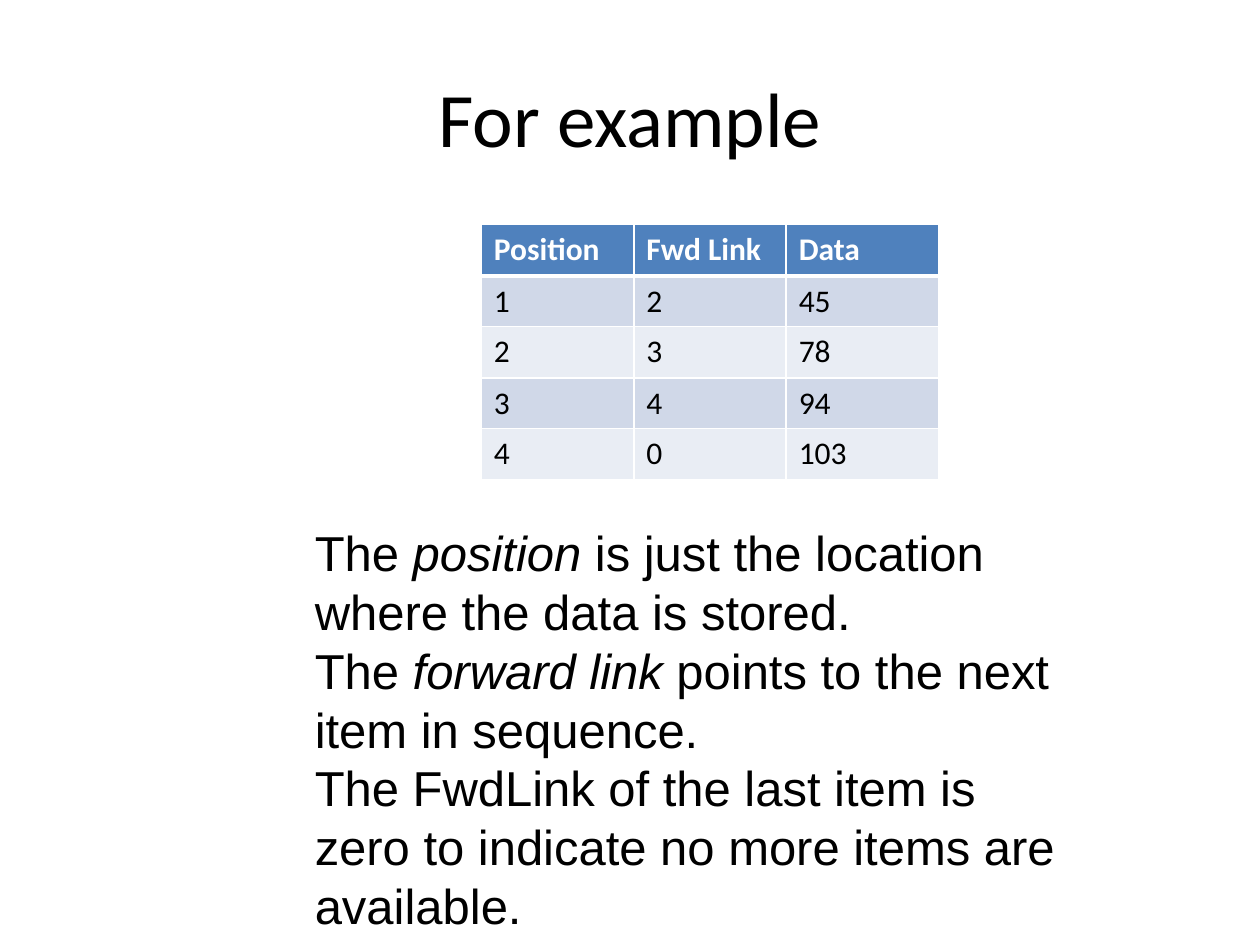
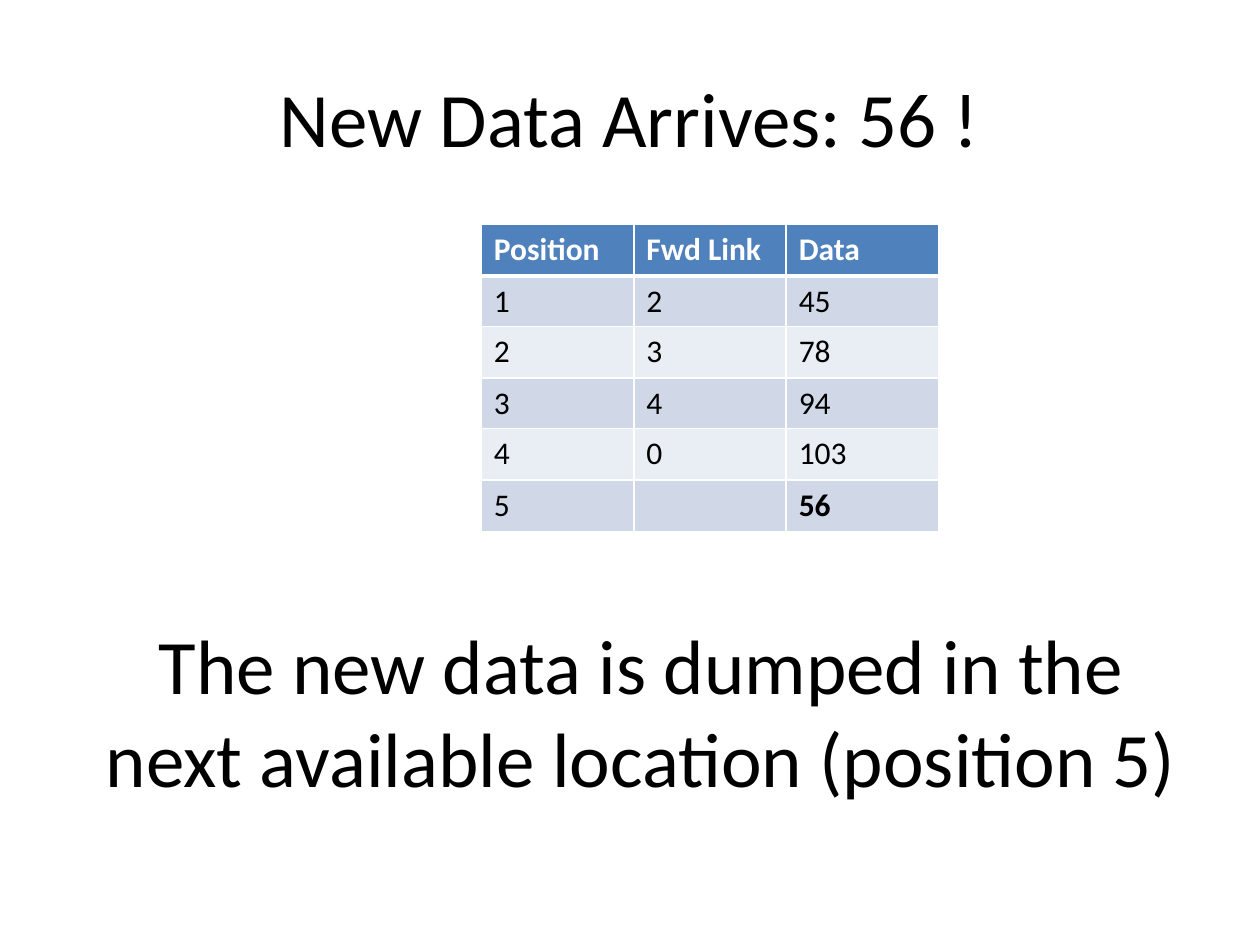
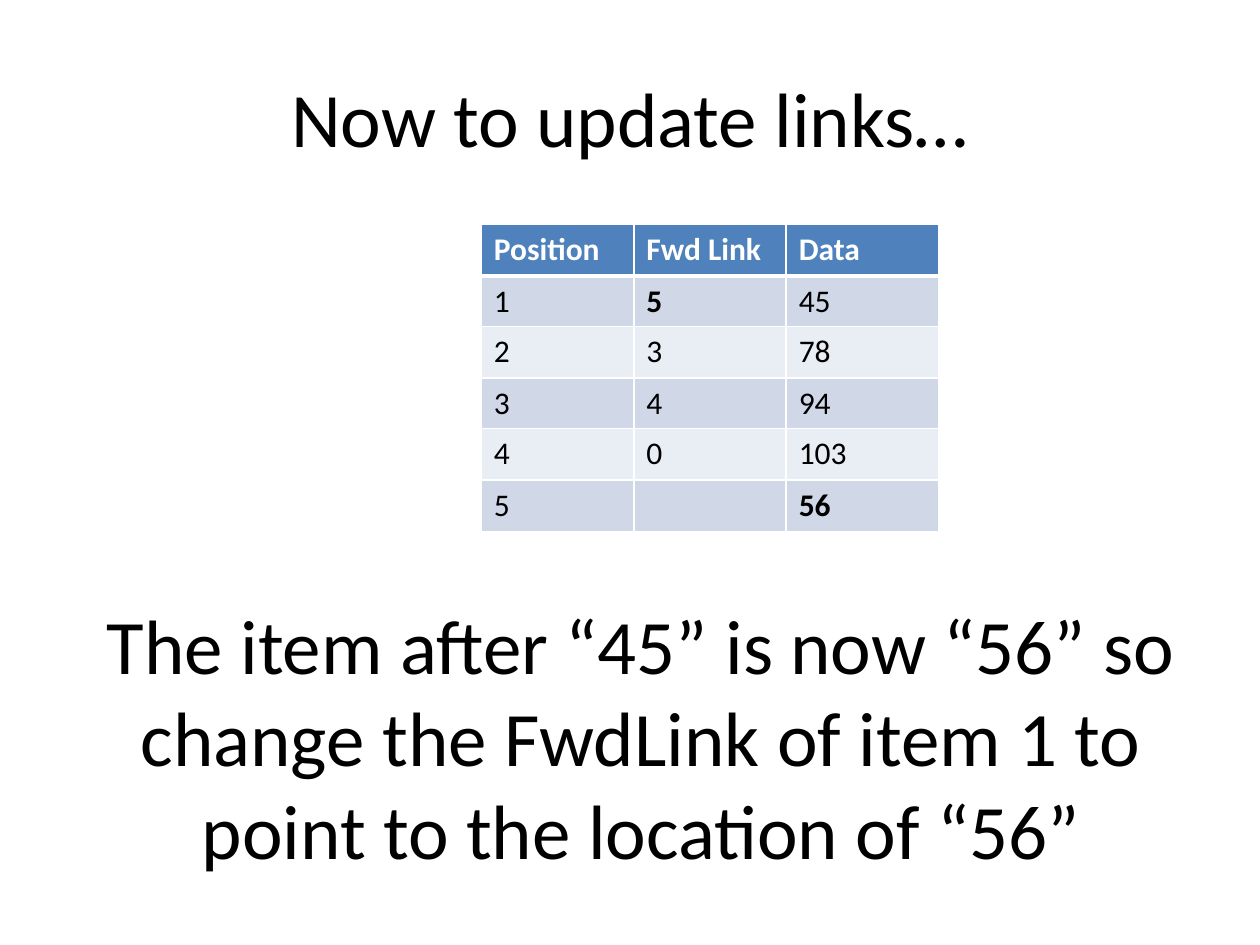
"""Build three slides that show how a new item is added to a linked list."""
import pptx
import pptx.dml.color
import pptx.enum.text
import pptx.oxml
import pptx.oxml.ns
import pptx.util

PX = 9144
COLORS = {"text": "000000", "white": "FFFFFF", "header": "4F81BD",
          "odd": "D0D8E8", "even": "E9EDF4"}
LINE_HEIGHT = 1.2
COLUMN_WIDTH = 121
ROW_HEIGHTS = (41, 40, 41, 40, 41, 41)
MIDDLE = pptx.enum.text.MSO_ANCHOR.MIDDLE
TOP = pptx.enum.text.MSO_ANCHOR.TOP
CENTER = pptx.enum.text.PP_ALIGN.CENTER
LEFT = pptx.enum.text.PP_ALIGN.LEFT

HEADER = ("Position", "Fwd Link", "Data")
ITEMS = [("1", "2", "45"), ("2", "3", "78"), ("3", "4", "94"), ("4", "0", "103")]
NEW_ITEM = ("5", "", "56")
EXPLANATION = [
    [("The ", False), ("position", True),
     (" is just the location where the data is stored.", False)],
    [("The ", False), ("forward link ", True),
     ("points to the next item in sequence.", False)],
    [("The FwdLink of the last item is zero to indicate no more items "
      "are available.", False)],
]
ARRIVAL = [[("The new data is dumped in the next available location (position 5)", False)]]
UPDATE = [[("The item after “45” is now “56” so change the FwdLink of item 1 "
            "to point to the location of “56”", False)]]
SLIDES = [
    ("For example", ITEMS, set(),
     EXPLANATION, (240, 410, 630, 337), "Arial", 28, LEFT, TOP),
    ("New Data Arrives: 56 !", ITEMS + [NEW_ITEM], {(5, 2)},
     ARRIVAL, (59, 501, 900, 125), "Calibri", 44, CENTER, MIDDLE),
    ("Now to update links…", [("1", "5", "45")] + ITEMS[1:] + [NEW_ITEM], {(1, 1), (5, 2)},
     UPDATE, (59, 462, 900, 244), "Calibri", 44, CENTER, MIDDLE),
]


def write_text(shape, paragraphs, font, size, align, anchor):
    """Fill a shape with paragraphs, each a list of (text, italic) spans."""
    frame = shape.text_frame
    frame.word_wrap = True
    frame.vertical_anchor = anchor
    for index, spans in enumerate(paragraphs):
        para = frame.add_paragraph() if index else frame.paragraphs[0]
        para.alignment = align
        para.line_spacing = pptx.util.Pt(size * LINE_HEIGHT)
        for text, italic in spans:
            span = para.add_run()
            span.text = text
            span.font.name = font
            span.font.size = pptx.util.Pt(size)
            span.font.italic = italic
            span.font.color.rgb = pptx.dml.color.RGBColor.from_string(COLORS["text"])


deck = pptx.Presentation()
deck.slide_width, deck.slide_height = 1000 * PX, 750 * PX

for title, items, changed, body, bounds, font, size, align, anchor in SLIDES:
    page = deck.slides.add_slide(deck.slide_layouts[6])
    title_box = page.shapes.add_textbox(50 * PX, 30 * PX, 900 * PX, 125 * PX)
    write_text(title_box, [[(title, False)]], "Calibri", 44, CENTER, MIDDLE)

    rows = [HEADER] + items
    table = page.shapes.add_table(
        len(rows), len(HEADER), 382 * PX, 178 * PX,
        COLUMN_WIDTH * len(HEADER) * PX, sum(ROW_HEIGHTS[:len(rows)]) * PX).table
    for column in table.columns:
        column.width = COLUMN_WIDTH * PX
    for row_index, values in enumerate(rows):
        table.rows[row_index].height = ROW_HEIGHTS[row_index] * PX
        is_header = row_index == 0
        band = "header" if is_header else "odd" if row_index % 2 else "even"
        for column_index, value in enumerate(values):
            cell = table.cell(row_index, column_index)
            cell.text_frame.text = value
            para = cell.text_frame.paragraphs[0]
            para.font.size = pptx.util.Pt(18)
            for span in para.runs:
                span.font.name = "Calibri"
                span.font.size = pptx.util.Pt(18)
                span.font.bold = is_header or (row_index, column_index) in changed
                span.font.color.rgb = pptx.dml.color.RGBColor.from_string(
                    COLORS["white" if is_header else "text"])
            properties = cell._tc.get_or_add_tcPr()
            for side in "LRTB":
                under_header = (row_index, side) in {(0, "B"), (1, "T")}
                width = pptx.util.Pt(3 if under_header else 1)
                properties.append(pptx.oxml.parse_xml(
                    f'<a:ln{side} {pptx.oxml.ns.nsdecls("a")} w="{width}"><a:solidFill>'
                    f'<a:srgbClr val="{COLORS["white"]}"/></a:solidFill></a:ln{side}>'))
            cell.fill.solid()
            cell.fill.fore_color.rgb = pptx.dml.color.RGBColor.from_string(COLORS[band])

    left, top, width, height = bounds
    right, bottom = left + width, top + height
    outline = page.shapes.build_freeform(left, top, scale=PX)
    outline.add_line_segments([(right, top), (right, bottom), (left, bottom)])
    box = outline.convert_to_shape()
    box.shadow.inherit = False
    box.fill.background()
    box.line.fill.background()
    write_text(box, body, font, size, align, anchor)

deck.save("out.pptx")
